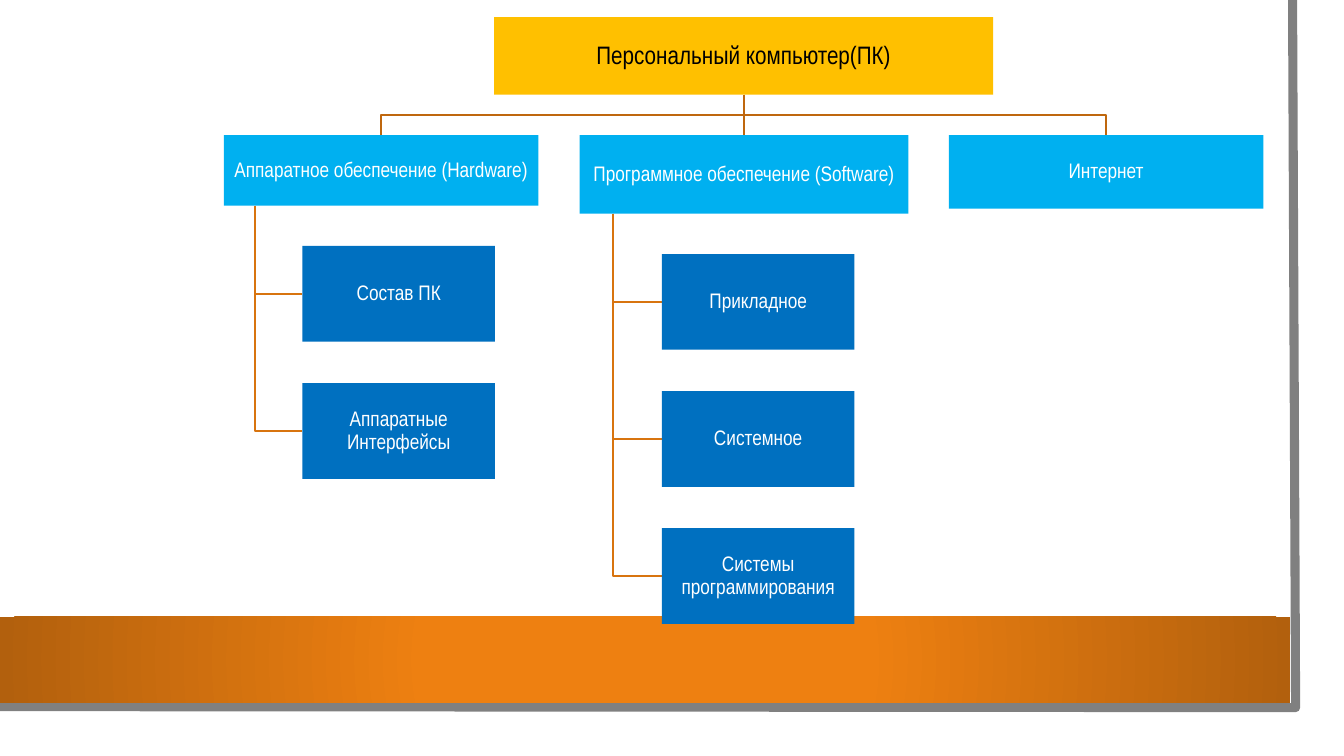
from lxml.etree import SubElement
from pptx import Presentation
from pptx.dml.color import RGBColor
from pptx.enum.shapes import MSO_SHAPE
from pptx.enum.text import MSO_ANCHOR, PP_ALIGN
from pptx.oxml.ns import qn
from pptx.util import Inches, Pt

# Content: root, then branches as (title, left, width, height, children)
ROOT = "Персональный компьютер(ПК)"
BRANCHES = [
    ("Аппаратное обеспечение (Hardware)", 2.22, 3.12, 0.7,
     ["Состав ПК", "Аппаратные Интерфейсы"]),
    ("Программное обеспечение (Software)", 5.75, 3.26, 0.78,
     ["Прикладное", "Системное", "Системы программирования"]),
    ("Интернет", 9.41, 3.12, 0.73, []),
]

WHITE = RGBColor(0xFF, 0xFF, 0xFF)
BLACK = RGBColor(0, 0, 0)
GRAY = RGBColor(0x80, 0x80, 0x80)
GOLD = RGBColor(0xFF, 0xC0, 0x00)
SKY = RGBColor(0x00, 0xB0, 0xF0)
BLUE = RGBColor(0x00, 0x70, 0xC0)
ORANGE = RGBColor(0xEE, 0x80, 0x11)
BROWN = RGBColor(0xB2, 0x60, 0x0D)
TRUNK = RGBColor(0xBF, 0x67, 0x0E)
TWIG = RGBColor(0xD8, 0x74, 0x0F)

# Layout in inches
ROOT_LEFT, ROOT_TOP, ROOT_WIDTH, ROOT_HEIGHT = 4.9, 0.17, 4.95, 0.77
LEVEL_GAP = 0.4
CHILD_WIDTH, CHILD_HEIGHT, CHILD_STEP = 1.91, 0.95, 1.36
STEM_SHARE, INDENT_SHARE = 0.1, 0.25

deck = Presentation()
deck.slide_width, deck.slide_height = Inches(13.33), Inches(7.5)
page = deck.slides.add_slide(deck.slide_layouts[6])


def add_rectangle(left, top, width, height, color):
    box = page.shapes.add_shape(MSO_SHAPE.RECTANGLE, Inches(left), Inches(top),
                                Inches(width), Inches(height))
    box.shadow.inherit = False
    box.fill.solid()
    box.fill.fore_color.rgb = color
    box.line.fill.background()
    return box


def add_node(text, left, top, width, height, color, size=15, ink=WHITE):
    frame = add_rectangle(left, top, width, height, color).text_frame
    frame.word_wrap = True
    frame.vertical_anchor = MSO_ANCHOR.MIDDLE
    frame.margin_left = frame.margin_right = Inches(0.01)
    frame.margin_top = frame.margin_bottom = Inches(0.01)
    frame.text = text
    para = frame.paragraphs[0]
    para.alignment = PP_ALIGN.CENTER
    para.line_spacing = 0.9
    font = para.runs[0].font
    font.name, font.size, font.color.rgb = "Arial Narrow", Pt(size), ink


def add_path(points, color, weight=1.5):
    corners = [(Inches(x), Inches(y)) for x, y in points]
    builder = page.shapes.build_freeform(*corners[0])
    builder.add_line_segments(corners[1:], close=False)
    path = builder.convert_to_shape()
    path.shadow.inherit = False
    path.fill.background()
    path.line.color.rgb, path.line.width = color, Pt(weight)


def set_radial_fill(shape, stops):
    shape.fill.gradient()
    gradient = shape.fill._xPr.find(qn("a:gradFill"))
    for child in list(gradient):
        gradient.remove(child)
    stop_list = SubElement(gradient, qn("a:gsLst"))
    for share, color in stops:
        stop = SubElement(stop_list, qn("a:gs"), pos=str(share * 1000))
        SubElement(stop, qn("a:srgbClr"), val=str(color))
    circle = SubElement(gradient, qn("a:path"), path="circle")
    SubElement(circle, qn("a:fillToRect"),
               {side: "50000" for side in ("l", "t", "r", "b")})


# Backdrop: sheet, gray edge, orange band
add_rectangle(0, 0, 13.1, 7.27, WHITE)
add_path([(12.82, 0), (12.85, 7.02), (-0.03, 7.01)], GRAY, 6.5)
band = add_rectangle(0, 6.12, 12.8, 0.85, ORANGE)
set_radial_fill(band, [(34, ORANGE), (100, BROWN)])

# Tree positions
root_middle = ROOT_LEFT + ROOT_WIDTH / 2
root_bottom = ROOT_TOP + ROOT_HEIGHT
branch_top = root_bottom + LEVEL_GAP
fork = root_bottom + LEVEL_GAP / 2
nodes = [(ROOT, ROOT_LEFT, ROOT_TOP, ROOT_WIDTH, ROOT_HEIGHT, GOLD, 18, BLACK)]

# Lines first, so that the boxes cover their ends
for title, left, width, height, children in BRANCHES:
    middle, bottom = left + width / 2, branch_top + height
    add_path([(root_middle, root_bottom), (root_middle, fork),
              (middle, fork), (middle, branch_top)], TRUNK)
    nodes.append((title, left, branch_top, width, height, SKY))
    stem, child_left = left + STEM_SHARE * width, left + INDENT_SHARE * width
    for row, child in enumerate(children):
        top = bottom + LEVEL_GAP + row * CHILD_STEP
        level = top + CHILD_HEIGHT / 2
        add_path([(stem, bottom), (stem, level), (child_left, level)], TWIG)
        nodes.append((child, child_left, top, CHILD_WIDTH, CHILD_HEIGHT, BLUE))

# Boxes
for node in nodes:
    add_node(*node)

deck.save("out.pptx")
